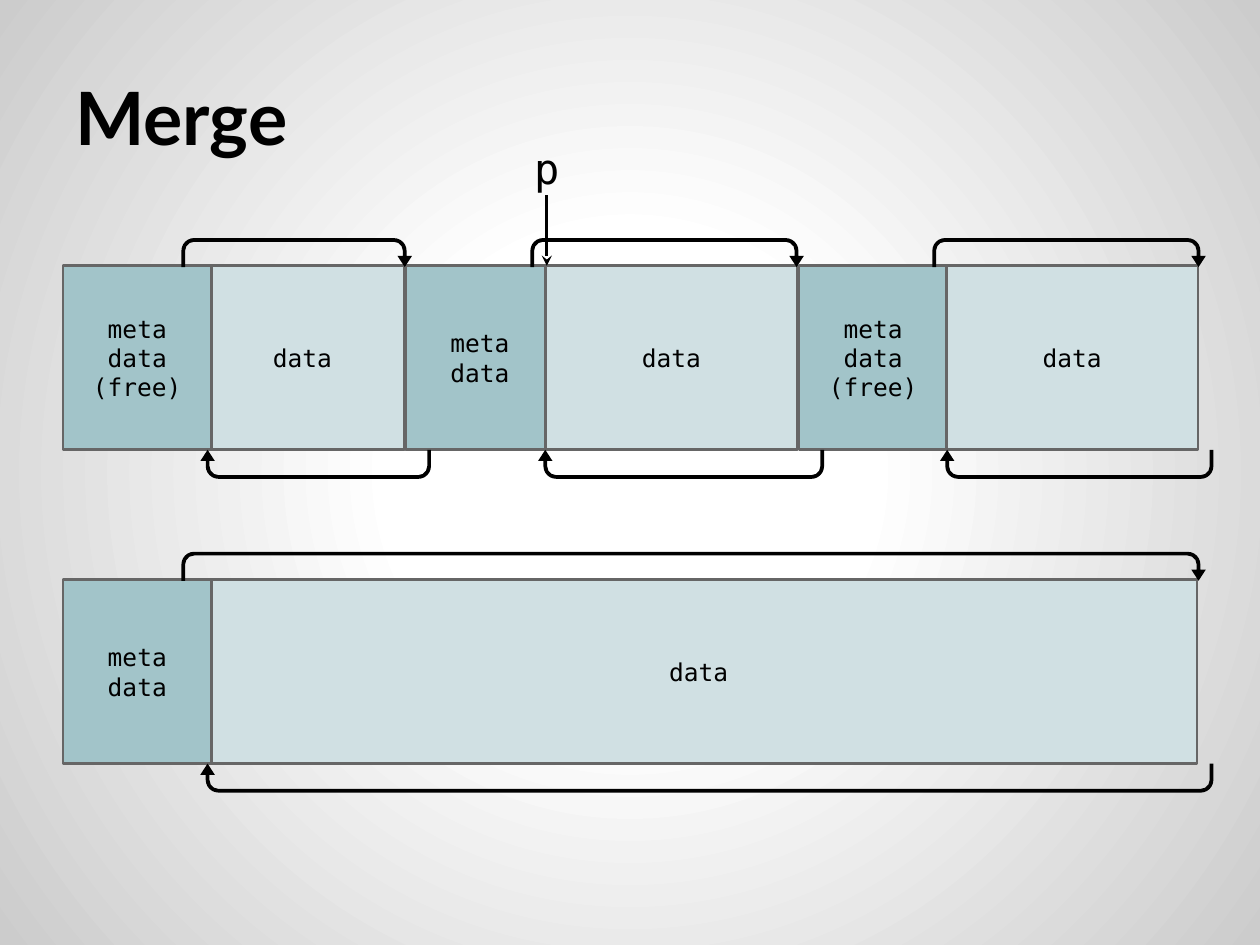
from lxml import etree
from pptx import Presentation
from pptx.dml.color import RGBColor
from pptx.enum import shapes, text
from pptx.oxml import parse_xml
from pptx.oxml.ns import nsdecls, qn
from pptx.util import Inches, Pt

MONO = "DejaVu Sans Mono"
BLACK = "000000"
META, DATA, BORDER = "A2C4C9", "D0E0E3", "666666"
LINK_HEIGHT = 0.23
LINK_ADJUSTMENTS = (0.128, 0.25, 0.385, 0.438, 1)


def rgb(value):
    return RGBColor.from_string(value)


def set_background(slide):
    stops = "".join(
        f'<a:gs pos="{pos}"><a:srgbClr val="{color}"/></a:gs>'
        for pos, color in ((0, "FFFFFF"), (30000, "FFFFFF"), (100000, "CCCCCC"))
    )
    slide.background.fill.solid()
    bg = slide.element.find(".//" + qn("p:bgPr"))
    bg.replace(bg[0], parse_xml(
        f'<a:gradFill {nsdecls("a")}><a:gsLst>{stops}</a:gsLst><a:path path="circle">'
        '<a:fillToRect l="50000" t="50000" r="50000" b="50000"/></a:path></a:gradFill>'
    ))


def write(sp, content, size, font=MONO, bold=False, align=text.PP_ALIGN.CENTER):
    tf = sp.text_frame
    tf.word_wrap = True
    tf.vertical_anchor = text.MSO_ANCHOR.MIDDLE
    tf.margin_left = tf.margin_right = tf.margin_top = tf.margin_bottom = Inches(0.1)
    tf.text = content
    for p in tf.paragraphs:
        p.alignment = align
        p.font.name, p.font.size, p.font.bold = font, Pt(size), bold
        p.font.color.rgb = rgb(BLACK)


def add_label(slide, box, content, size, **style):
    write(slide.shapes.add_textbox(*map(Inches, box)), content, size, **style)


def add_filled(slide, kind, box, color):
    sp = slide.shapes.add_shape(kind, *map(Inches, box))
    sp.shadow.inherit = False
    sp.fill.solid()
    sp.fill.fore_color.rgb = rgb(color)
    return sp


def add_cell(slide, box, content, color):
    sp = add_filled(slide, shapes.MSO_SHAPE.RECTANGLE, box, color)
    sp.line.color.rgb = rgb(BORDER)
    sp.line.width = Pt(1.5)
    write(sp, content, 14)


def add_link(slide, box, rotation):
    sp = add_filled(slide, shapes.MSO_SHAPE.U_TURN_ARROW, box, BLACK)
    sp.line.fill.background()
    sp.rotation = rotation
    for i, value in enumerate(LINK_ADJUSTMENTS):
        sp.adjustments[i] = value


def add_heap(slide, top, height, cells, next_links, previous_links):
    for left, width, content, color in cells:
        add_cell(slide, (left, top, width, height), content, color)
    for left, width in next_links:
        add_link(slide, (left, top - 0.22, width, LINK_HEIGHT), 0)
    for left, width in previous_links:
        add_link(slide, (left, top + height, width, LINK_HEIGHT), 180)


def add_pointer(slide, left, top, width, height, tip):
    add_label(slide, (left, top, width, height), "p", 24)
    x = Inches(left + width / 2)
    line = slide.shapes.add_connector(
        shapes.MSO_CONNECTOR.STRAIGHT, x, Inches(top + height), x, Inches(tip))
    line.line.color.rgb = rgb(BLACK)
    line.line.width = Pt(1.5)
    etree.SubElement(line.line._get_or_add_ln(), qn("a:tailEnd"), type="stealth")
    etree.SubElement(line.element.spPr, qn("a:effectLst"))


def main():
    prs = Presentation()
    prs.slide_width, prs.slide_height = Inches(10), Inches(7.5)
    slide = prs.slides.add_slide(prs.slide_layouts[6])
    set_background(slide)
    add_label(slide, (0.5, 0.3, 9, 1.25), "Merge", 42,
              font="Lato", bold=True, align=text.PP_ALIGN.LEFT)
    add_heap(
        slide, 2.11, 1.46,
        cells=[
            (1.59, 1.62, "data", DATA),
            (0.5, 1.18, "meta\ndata\n(free)", META),
            (3.22, 1.18, "meta\ndata", META),
            (4.33, 2, "data", DATA),
            (6.34, 1.18, "meta\ndata\n(free)", META),
            (7.51, 2, "data", DATA),
        ],
        next_links=[(1.44, 1.83), (4.21, 2.17), (7.4, 2.17)],
        previous_links=[(1.59, 1.83), (4.27, 2.27), (7.46, 2.17)],
    )
    add_heap(
        slide, 4.6, 1.46,
        cells=[(1.59, 7.91, "data", DATA), (0.5, 1.18, "meta\ndata", META)],
        next_links=[(1.44, 8.13)],
        previous_links=[(1.59, 8.04)],
    )
    add_pointer(slide, 4.03, 1.12, 0.62, 0.43, tip=2.11)
    prs.save("out.pptx")


if __name__ == "__main__":
    main()
